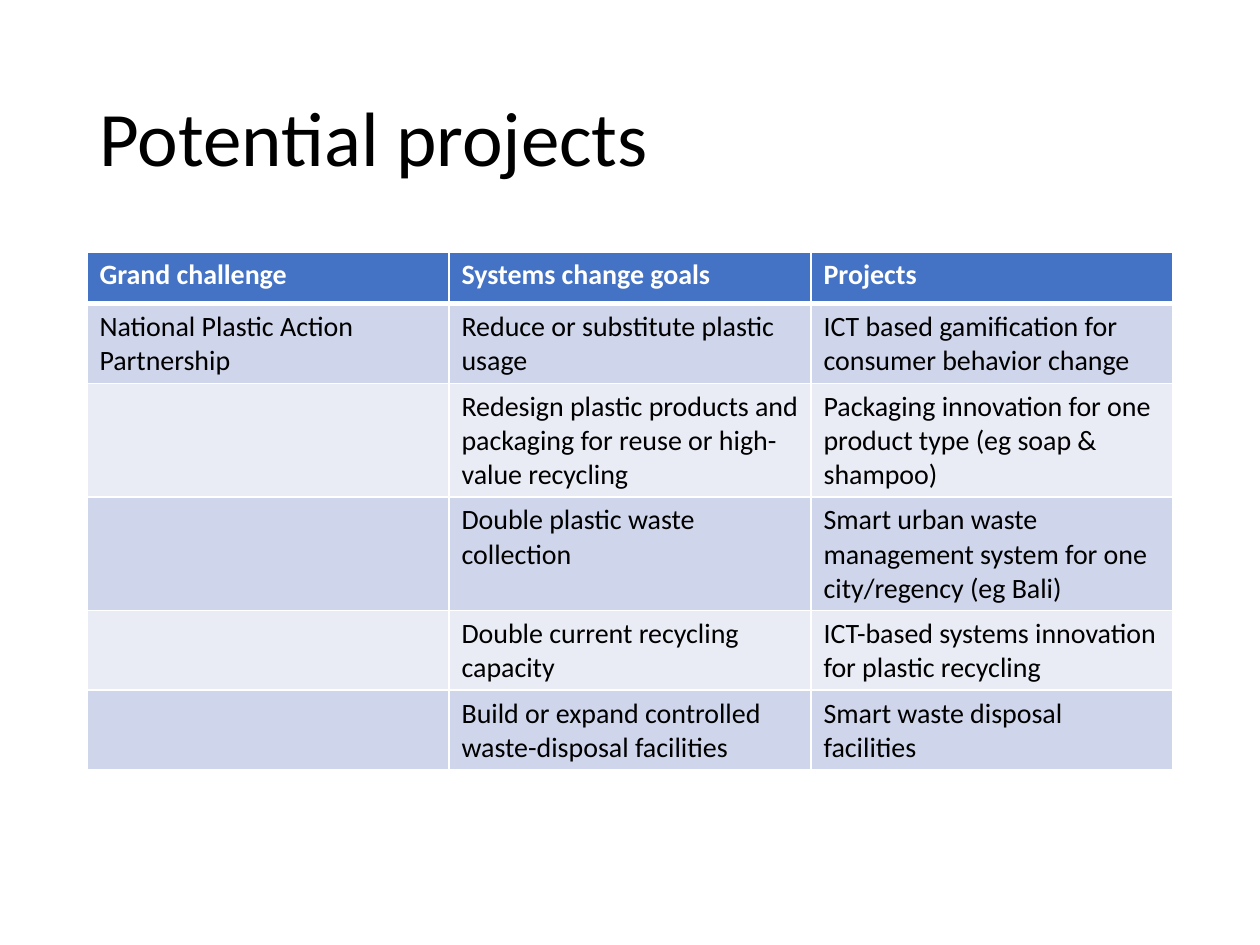
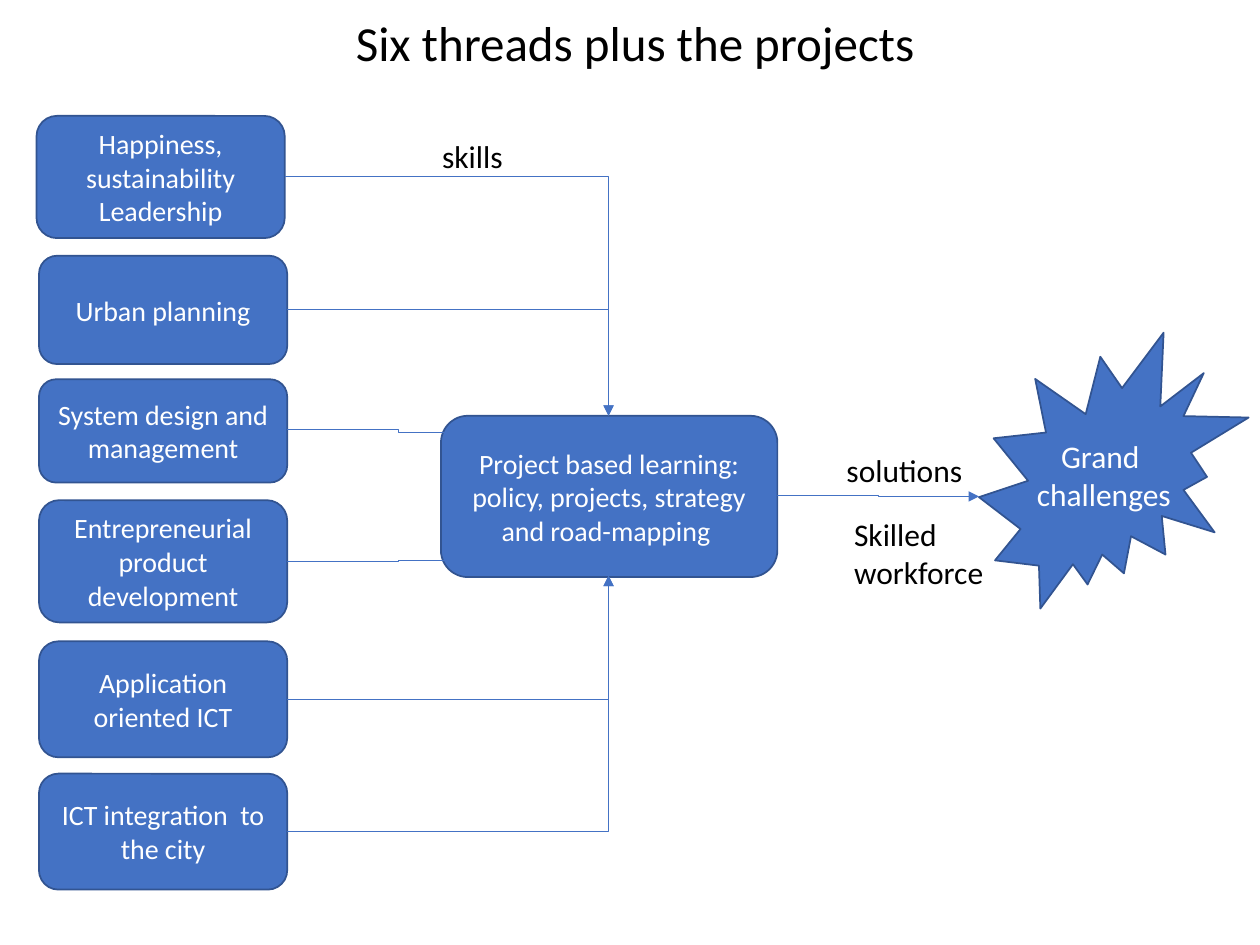
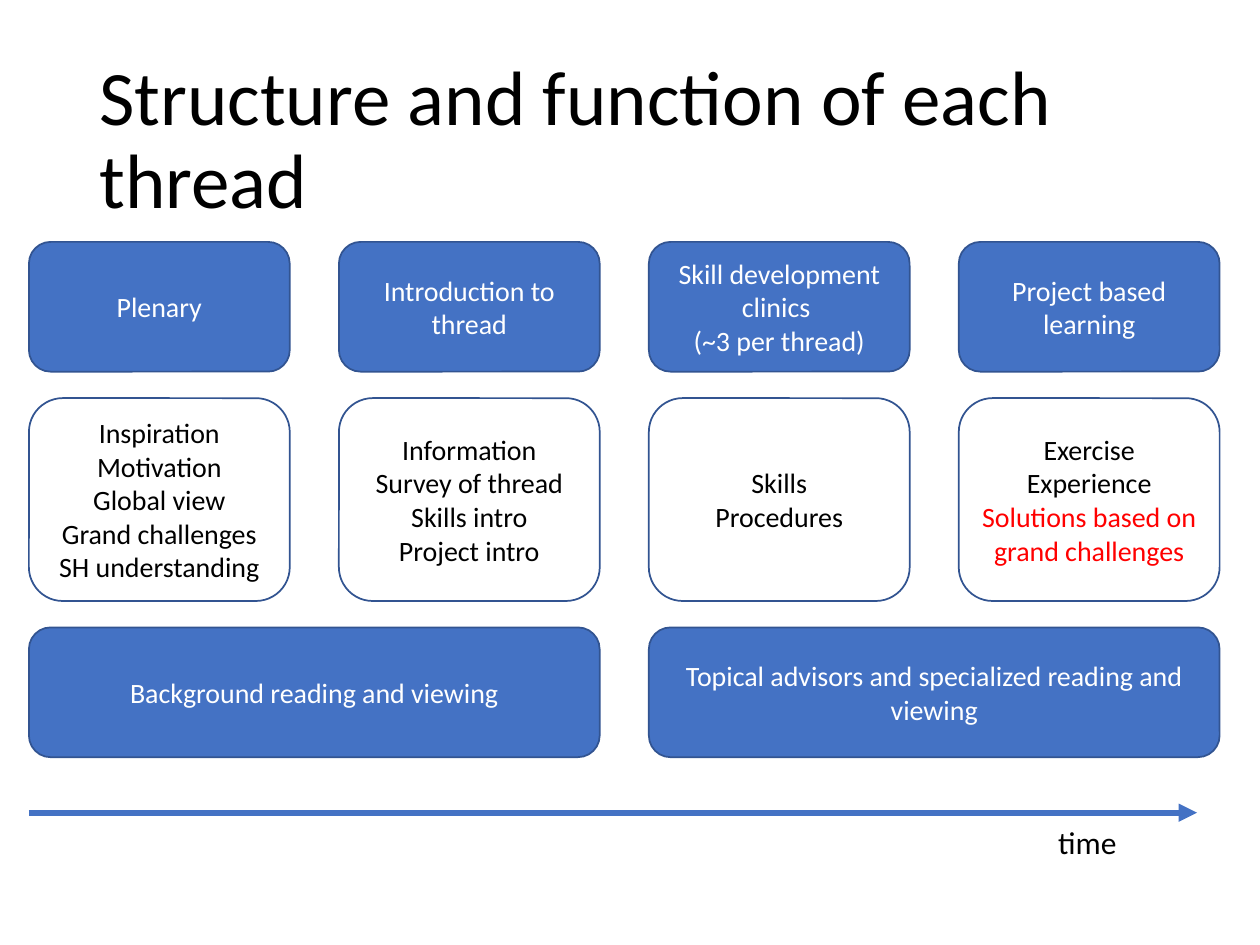
"""Build three slides on projects, learning threads and thread structure."""
from lxml.etree import SubElement
from pptx import Presentation
from pptx.dml.color import RGBColor
from pptx.enum.shapes import MSO_CONNECTOR, MSO_SHAPE
from pptx.enum.text import MSO_ANCHOR, PP_ALIGN
from pptx.oxml.ns import qn
from pptx.util import Inches, Pt

FONT = "Calibri"
BLUE = RGBColor(0x44, 0x72, 0xC4)
OUTLINE = RGBColor(0x32, 0x54, 0x91)
LIGHT_BAND = RGBColor(0xE9, 0xEB, 0xF5)
DARK_BAND = RGBColor(0xCF, 0xD5, 0xEA)
WHITE = RGBColor(0xFF, 0xFF, 0xFF)
BLACK = RGBColor(0x00, 0x00, 0x00)
RED = RGBColor(0xFF, 0x00, 0x00)
TITLE_AT = (0.69, 0.4, 8.62, 1.45)


def add_text(s, at, lines, size=16, color=WHITE, align=PP_ALIGN.CENTER,
             shape=None, fill=None, wrap=True, anchor=MSO_ANCHOR.MIDDLE, spacing=None):
    box = [Inches(v) for v in at]
    if shape is None:
        sp = s.shapes.add_textbox(*box)
    else:
        sp = s.shapes.add_shape(shape, *box)
        sp.shadow.inherit = False
        sp.line.color.rgb = OUTLINE
        sp.line.width = Pt(1)
        if fill is None:
            sp.fill.background()
        else:
            sp.fill.solid()
            sp.fill.fore_color.rgb = fill
    tf = sp.text_frame
    tf.word_wrap = wrap
    tf.vertical_anchor = anchor
    for i, line in enumerate(lines):
        p = tf.paragraphs[0] if i == 0 else tf.add_paragraph()
        p.alignment = align
        p.line_spacing = spacing
        r = p.add_run()
        r.text = line
        r.font.name = FONT
        r.font.size = Pt(size)
        r.font.color.rgb = color
    return sp


def add_arrow(s, start, end, preset, width):
    kind = MSO_CONNECTOR.STRAIGHT if preset == "line" else MSO_CONNECTOR.ELBOW
    cn = s.shapes.add_connector(kind, *[Inches(v) for v in start + end])
    cn.line.color.rgb = BLUE
    cn.line.width = Pt(width)
    sp_pr = cn._element.spPr
    sp_pr.find(qn("a:prstGeom")).set("prst", preset)
    SubElement(sp_pr.find(qn("a:ln")), qn("a:tailEnd"), type="triangle")
    SubElement(sp_pr, qn("a:effectLst"))


prs = Presentation()
prs.slide_width = Inches(10)
prs.slide_height = Inches(7.5)
blank = prs.slide_layouts[6]

s = prs.slides.add_slide(blank)
add_text(s, TITLE_AT, ["Potential projects"], 44, BLACK, PP_ALIGN.LEFT, spacing=0.9)

rows = [
    ("Grand challenge", "Systems change goals", "Projects"),
    ("National Plastic Action Partnership", "Reduce or substitute plastic usage",
     "ICT based gamification for consumer behavior change"),
    ("", "Redesign plastic products and packaging for reuse or high-value recycling",
     "Packaging innovation for one product type (eg soap & shampoo)"),
    ("", "Double plastic waste collection",
     "Smart urban waste management system for one city/regency (eg Bali)"),
    ("", "Double current recycling capacity",
     "ICT-based systems innovation for plastic recycling"),
    ("", "Build or expand controlled waste-disposal facilities",
     "Smart waste disposal facilities"),
]
table = s.shapes.add_table(len(rows), 3, Inches(0.69), Inches(2),
                           Inches(8.62), Inches(0.41 * len(rows))).table
for i, row in enumerate(rows):
    header = i == 0
    for j, text in enumerate(row):
        cell = table.cell(i, j)
        tc_pr = cell._tc.get_or_add_tcPr()
        for side in ("lnL", "lnR", "lnT", "lnB"):
            thick = (header and side == "lnB") or (i == 1 and side == "lnT")
            ln = SubElement(tc_pr, qn(f"a:{side}"), w=str(Pt(3 if thick else 1)))
            SubElement(SubElement(ln, qn("a:solidFill")), qn("a:srgbClr"), val=str(WHITE))
        cell.fill.solid()
        cell.fill.fore_color.rgb = BLUE if header else DARK_BAND if i % 2 else LIGHT_BAND
        if text:
            r = cell.text_frame.paragraphs[0].add_run()
            r.text = text
            r.font.name = FONT
            r.font.size = Pt(16)
            r.font.bold = header
            r.font.color.rgb = WHITE if header else BLACK

s = prs.slides.add_slide(blank)
add_text(s, (0.73, 0.09, 8.62, 0.55), ["Six threads plus the projects"], 28, BLACK, spacing=0.9)

threads = [
    (0.29, 0.92, 0.97, ["Happiness, sustainability", "Leadership"]),
    (0.31, 2.03, 0.86, ["Urban planning"]),
    (0.31, 3.01, 0.82, ["System design and management"]),
    (0.31, 3.97, 0.97, ["Entrepreneurial product development"]),
    (0.31, 5.09, 0.92, ["Application oriented ICT"]),
    (0.31, 6.14, 0.92, ["ICT integration  to the city"]),
]
for x, y, h, lines in threads:
    add_text(s, (x, y, 1.97, h), lines, shape=MSO_SHAPE.ROUNDED_RECTANGLE, fill=BLUE)
add_text(s, (3.5, 3.3, 2.67, 1.28),
         ["Project based learning: policy, projects, strategy and road-mapping "],
         shape=MSO_SHAPE.ROUNDED_RECTANGLE, fill=BLUE)
add_text(s, (7.77, 2.64, 2.14, 2.19), ["Grand ", "challenges"], 18,
         shape=MSO_SHAPE.EXPLOSION2, fill=BLUE, wrap=False)

for start, end, preset in [
    ((2.26, 1.4), (4.83, 3.3), "bentConnector2"),
    ((2.28, 2.46), (4.83, 3.3), "bentConnector2"),
    ((2.28, 3.41), (4.04, 3.43), "bentConnector3"),
    ((2.28, 4.46), (4.04, 4.45), "bentConnector3"),
    ((2.28, 5.55), (4.83, 4.57), "bentConnector2"),
    ((2.28, 6.6), (4.83, 4.57), "bentConnector2"),
    ((6.17, 3.93), (7.77, 3.94), "bentConnector3"),
]:
    add_arrow(s, start, end, preset, 0.5)

for at, lines in [
    ((3.41, 1.04, 0.69, 0.4), ["skills"]),
    ((6.62, 3.53, 1.13, 0.4), ["solutions"]),
    ((6.68, 4.04, 1.24, 0.71), ["Skilled", "workforce"]),
]:
    add_text(s, at, lines, 18, BLACK, PP_ALIGN.LEFT, wrap=False, anchor=MSO_ANCHOR.TOP)

s = prs.slides.add_slide(blank)
add_text(s, TITLE_AT, ["Structure and function of each thread"], 44, BLACK,
         PP_ALIGN.LEFT, spacing=0.9)

left, pitch, width = 0.23, 2.46, 2.07
stages = [
    (["Plenary"],
     ["Inspiration", "Motivation", "Global view", "Grand challenges", "SH understanding"]),
    (["Introduction to thread"],
     ["Information", "Survey of thread", "Skills intro", "Project intro"]),
    (["Skill development clinics ", "(~3 per thread)"], ["Skills", "Procedures"]),
    (["Project based learning"],
     ["Exercise", "Experience", "Solutions based on grand challenges"]),
]
for i, (stage, outcomes) in enumerate(stages):
    x = left + i * pitch
    add_text(s, (x, 1.92, width, 1.03), stage, shape=MSO_SHAPE.ROUNDED_RECTANGLE, fill=BLUE)
    outcome_box = add_text(s, (x, 3.16, width, 1.61), outcomes, color=BLACK,
                           shape=MSO_SHAPE.ROUNDED_RECTANGLE)
outcome_box.text_frame.paragraphs[-1].runs[0].font.color.rgb = RED

for i, support in enumerate(["Background reading and viewing",
                             "Topical advisors and specialized reading and viewing"]):
    add_text(s, (left + 2 * i * pitch, 4.98, pitch + width, 1.03), [support],
             shape=MSO_SHAPE.ROUNDED_RECTANGLE, fill=BLUE)

add_arrow(s, (left, 6.45), (9.5, 6.45), "line", 3.5)
add_text(s, (8.3, 6.48, 0.67, 0.4), ["time"], 18, BLACK, PP_ALIGN.LEFT,
         wrap=False, anchor=MSO_ANCHOR.TOP)

prs.save("out.pptx")
